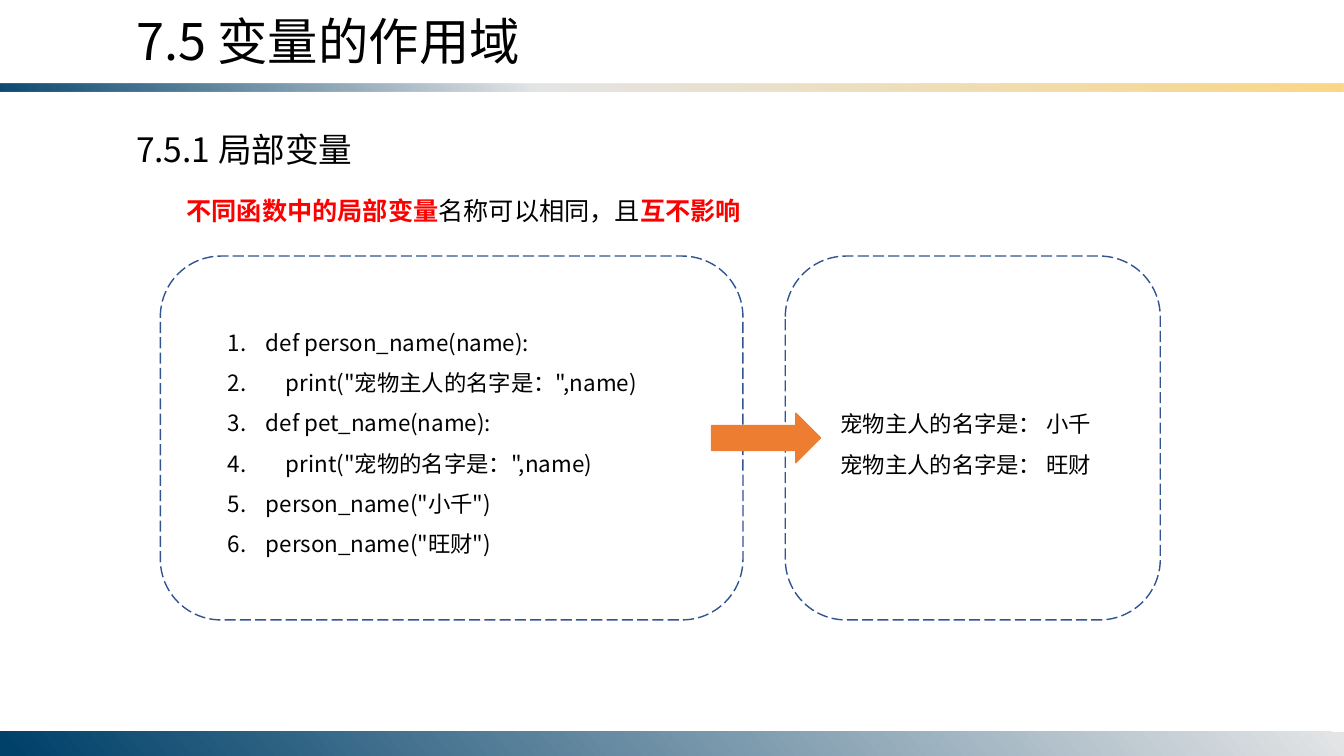
"""Build the slide on local variables: a statement, a code panel and its output."""
from typing import NamedTuple

from pptx import Presentation, util as u
from pptx.dml.color import RGBColor
from pptx.enum import dml, shapes, text
from pptx.oxml import parse_xml
from pptx.oxml.ns import nsdecls, qn

COLOURS = {"text": "000000", "accent": "FF0000", "panel": "325491", "arrow": "ED7D31",
           "navy": "00416A", "silver": "E4E5E6", "gold": "FBD786"}
FONT = "Noto Sans CJK SC"
WIDTH, HEIGHT = u.Inches(13.333), u.Inches(7.5)


class Area(NamedTuple):
    """Position and size in percent of the slide."""
    left: float
    top: float
    width: float
    height: float

    def lengths(self) -> tuple[int, ...]:
        return tuple(round(share * full / 100)
                     for share, full in zip(self, (WIDTH, HEIGHT) * 2))


class Stop(NamedTuple):
    position: int
    colour: str
    alpha: int = 100


class Bar(NamedTuple):
    area: Area
    angle: int
    stops: list[Stop]
    flipped: bool = False


class Piece(NamedTuple):
    words: str
    colour: str = "text"
    bold: bool = False


class Block(NamedTuple):
    area: Area
    size: int
    lines: list[list[Piece]]
    spacing: float = 1.0
    margin: float = 0
    indent: float = 0
    numbered: bool = False


BARS = [
    Bar(Area(0, 11.07, 100, 1.07), 50,
        [Stop(0, "navy", 95), Stop(40, "silver"), Stop(100, "gold")], True),
    Bar(Area(0, 96.8, 100, 3.2), 140, [Stop(0, "silver"), Stop(99, "navy")]),
]
TITLE = Block(Area(9.38, 0.67, 45.9, 9.47), 36, [[Piece("7.5 变量的作用域")]])
CODE = [
    "def person_name(name):",
    '    print("宠物主人的名字是：",name)',
    "def pet_name(name):",
    '    print("宠物的名字是：",name)',
    'person_name("小千")',
    'person_name("旺财")',
]
OUTPUT = [f"宠物主人的名字是： {name}" for name in ("小千", "旺财")]
BLOCKS = [
    Block(Area(9.38, 16.4, 26.33, 6.67), 24, [[Piece("7.5.1 局部变量")]]),
    Block(Area(9.38, 23.2, 78.75, 7.33), 18,
          [[Piece("不同函数中的局部变量", "accent", True), Piece("名称可以相同，且"),
            Piece("互不影响", "accent", True)]], 1.5, indent=0.5),
    Block(Area(16.2, 41.07, 34.8, 33.6), 16, [[Piece(line)] for line in CODE],
          1.5, 0.38, -0.38, True),
    Block(Area(61.8, 51.87, 21.23, 12.13), 16, [[Piece(line)] for line in OUTPUT], 1.5),
]
PANELS = [Area(11.93, 33.87, 43.35, 48.13), Area(58.43, 33.87, 27.9, 48.13)]
ARROW = Area(52.95, 54.67, 8.1, 6.53)


def rgb(name: str) -> RGBColor:
    return RGBColor.from_string(COLOURS[name])


def add_shape(slide, kind, area: Area):
    shape = slide.shapes.add_shape(kind, *area.lengths())
    shape.shadow.inherit = False
    shape.fill.background()
    return shape


def outline(shape, colour: str) -> None:
    shape.line.color.rgb = rgb(colour)
    shape.line.width = u.Pt(1)


def draw_bar(slide, bar: Bar) -> None:
    shape = add_shape(slide, shapes.MSO_SHAPE.RECTANGLE, bar.area)
    shape.line.fill.background()
    stops = "".join(
        f'<a:gs pos="{stop.position * 1000}"><a:srgbClr val="{COLOURS[stop.colour]}">'
        f'<a:alpha val="{stop.alpha * 1000}"/></a:srgbClr></a:gs>' for stop in bar.stops)
    gradient = parse_xml(
        f'<a:gradFill {nsdecls("a")} rotWithShape="1"><a:gsLst>{stops}</a:gsLst>'
        f'<a:lin ang="{bar.angle * 60000}" scaled="0"/></a:gradFill>')
    properties = shape.element.spPr
    properties.replace(properties.find(qn("a:noFill")), gradient)
    if bar.flipped:
        properties.find(qn("a:xfrm")).set("flipV", "1")


def add_run(paragraph, piece: Piece, size: int) -> None:
    run = paragraph.add_run()
    run.text = piece.words
    font = run.font
    font.name, font.size, font.bold = FONT, u.Pt(size), piece.bold
    font.color.rgb = rgb(piece.colour)
    latin = run._r.rPr.find(qn("a:latin"))
    latin.addnext(parse_xml(f'<a:ea {nsdecls("a")} typeface="{FONT}"/>'))


def write_block(shape, block: Block) -> None:
    shape.left, shape.top, shape.width, shape.height = block.area.lengths()
    frame = shape.text_frame
    frame.word_wrap = True
    frame.auto_size = text.MSO_AUTO_SIZE.SHAPE_TO_FIT_TEXT
    frame.vertical_anchor = text.MSO_ANCHOR.TOP
    for index, line in enumerate(block.lines):
        paragraph = frame.add_paragraph() if index else frame.paragraphs[0]
        properties = paragraph._p.get_or_add_pPr()
        properties.set("marL", str(u.Inches(block.margin)))
        properties.set("indent", str(u.Inches(block.indent)))
        if block.numbered:
            properties.append(parse_xml(f'<a:buFont {nsdecls("a")} typeface="+mj-lt"/>'))
            properties.append(
                parse_xml(f'<a:buAutoNum {nsdecls("a")} type="arabicPeriod"/>'))
        paragraph.alignment = text.PP_ALIGN.LEFT
        paragraph.line_spacing = block.spacing
        for piece in line:
            add_run(paragraph, piece, block.size)


def main() -> None:
    presentation = Presentation()
    presentation.slide_width, presentation.slide_height = WIDTH, HEIGHT
    slide = presentation.slides.add_slide(presentation.slide_layouts[5])
    for bar in BARS:
        draw_bar(slide, bar)
    write_block(slide.shapes.title, TITLE)
    for block in BLOCKS:
        write_block(slide.shapes.add_textbox(*block.area.lengths()), block)
    for area in PANELS:
        panel = add_shape(slide, shapes.MSO_SHAPE.ROUNDED_RECTANGLE, area)
        outline(panel, "panel")
        panel.line.dash_style = dml.MSO_LINE.LONG_DASH
    arrow = add_shape(slide, shapes.MSO_SHAPE.RIGHT_ARROW, ARROW)
    arrow.fill.solid()
    arrow.fill.fore_color.rgb = rgb("arrow")
    outline(arrow, "arrow")
    presentation.save("out.pptx")


if __name__ == "__main__":
    main()
